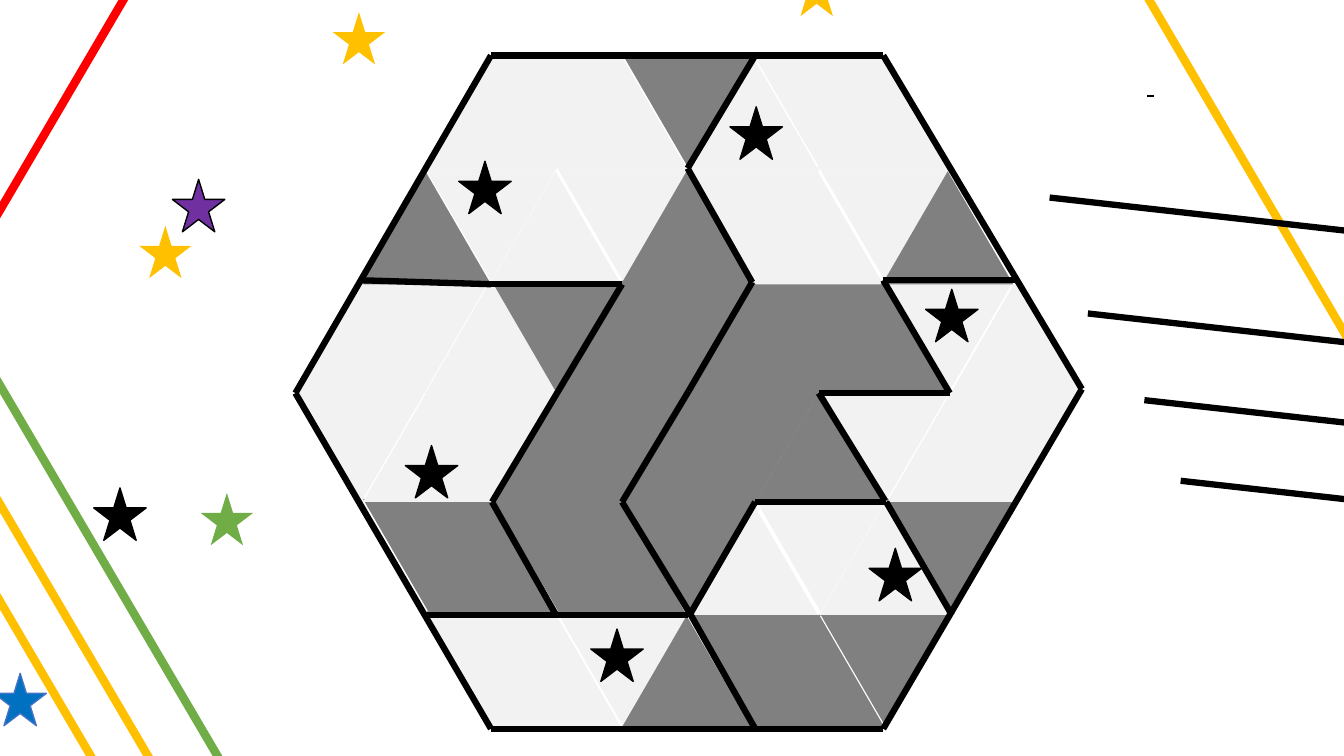
from itertools import pairwise

from lxml import etree
from pptx import Presentation
from pptx import util as u
from pptx.dml.color import RGBColor
from pptx.enum import shapes
from pptx.oxml import ns

PX = 9144
SLIDE = (1333, 750)
TRI_W, TRI_H = 130, 112
THREE_STEPS = 389
SEAM = 2
STAR = 52

COLORS = {
    "L": "F2F2F2", "D": "808080", "black": "000000", "gold": "FFC000",
    "red": "FF0000", "green": "70AD47", "purple": "7030A0",
    "blue": "0070C0", "blue edge": "4472C4",
}

# turn, top, first left, tiles (a dot widens the seam)
ROWS = [
    (180, 610, 425, "LLDD"),
    (180, 495, 360, "DDDLD"),
    (180, 388, 292, "L.LDDLL"),
    (180, 279, 355, "L.DDDL"),
    (180, 167, 422, "L.LLL"),
    (180, 55, 487, "L.DL"),
    (0, 55, 422, "LLLL"),
    (0, 170, 357, "DLDLD"),
    (0, 278, 293, "LLDDD.L"),
    (0, 386, 360, "LDDD.L"),
    (0, 498, 422, "DDL.L"),
    (0, 611, 487, "LD.D"),
]

BEAMS = [
    ("gold", (971, -288), (1614, 809)),
    ("gold", (-296, 92), (347, 1188)),
    ("red", (293, -291), (-174, 505)),
    ("green", (-219, 9), (424, 1105)),
    ("gold", (-224, 119), (420, 1215)),
]

BORDERS = [
    [(876, 55), (487, 55), (293, 390), (487, 723), (876, 723), (1073, 386), (876, 55)],
    [(357, 278), (487, 282), (617, 282), (488, 498), (552, 611)],
    [(422, 610), (554, 610), (682, 610)],
    [(749, 55), (682, 167), (746, 280), (683, 388), (617, 498), (684, 608), (749, 723)],
    [(684, 610), (749, 498), (879, 498), (944, 610)],
    [(1009, 278), (876, 278), (942, 390), (812, 390), (878, 497)],
    [(1141, 94), (1141, 96)],
]

RAY = (349, 39)
RAY_STARTS = [(1041, 196), (1079, 311), (1135, 397), (1171, 477)]

STARS = [
    ("black", "black", [(93, 484), (586, 624), (402, 442), (918, 287),
                        (724, 106), (862, 544), (455, 160)]),
    ("green", None, [(199, 489)]),
    ("blue", "blue edge", [(-6, 668)]),
    ("purple", "black", [(171, 178)]),
    ("gold", None, [(784, -36), (330, 12), (138, 224)]),
]


def rgb(name):
    return RGBColor.from_string(COLORS[name])


def add_figure(parent, kind, left, top, width, height, fill, edge=None):
    sp = parent.add_shape(kind, left * PX, top * PX, width * PX, height * PX)
    sp.shadow.inherit = False
    sp.fill.solid()
    sp.fill.fore_color.rgb = rgb(fill)
    if edge:
        sp.line.color.rgb = rgb(edge)
        sp.line.width = u.Pt(1)
    else:
        sp.line.fill.background()
    return sp


def add_line(parent, start, end, color, weight):
    ends = [v * PX for v in (*start, *end)]
    cx = parent.add_connector(shapes.MSO_CONNECTOR.STRAIGHT, *ends)
    cx.line.color.rgb = rgb(color)
    cx.line.width = u.Pt(weight)
    etree.SubElement(cx._element.spPr, ns.qn("a:effectLst"))


def main():
    prs = Presentation()
    prs.slide_width, prs.slide_height = (v * PX for v in SLIDE)
    s = prs.slides.add_slide(prs.slide_layouts[6])

    board = s.shapes.add_group_shape().shapes
    for turn, top, first, tiles in ROWS:
        col = seams = 0
        for tile in tiles:
            if tile == ".":
                seams += SEAM
                continue
            left = first + THREE_STEPS * col // 3 + seams
            sp = add_figure(board, shapes.MSO_SHAPE.ISOSCELES_TRIANGLE,
                            left, top, TRI_W, TRI_H, tile)
            sp.rotation = turn
            col += 1

    for color, start, end in BEAMS:
        add_line(s.shapes, start, end, color, 6)
    rays = [[(x, y), (x + RAY[0], y + RAY[1])] for x, y in RAY_STARTS]
    for points in BORDERS + rays:
        for start, end in pairwise(points):
            add_line(s.shapes, start, end, "black", 4.5)

    for fill, edge, places in STARS:
        for left, top in places:
            add_figure(s.shapes, shapes.MSO_SHAPE.STAR_5_POINT,
                       left, top, STAR, STAR, fill, edge)

    prs.save("out.pptx")


if __name__ == "__main__":
    main()
